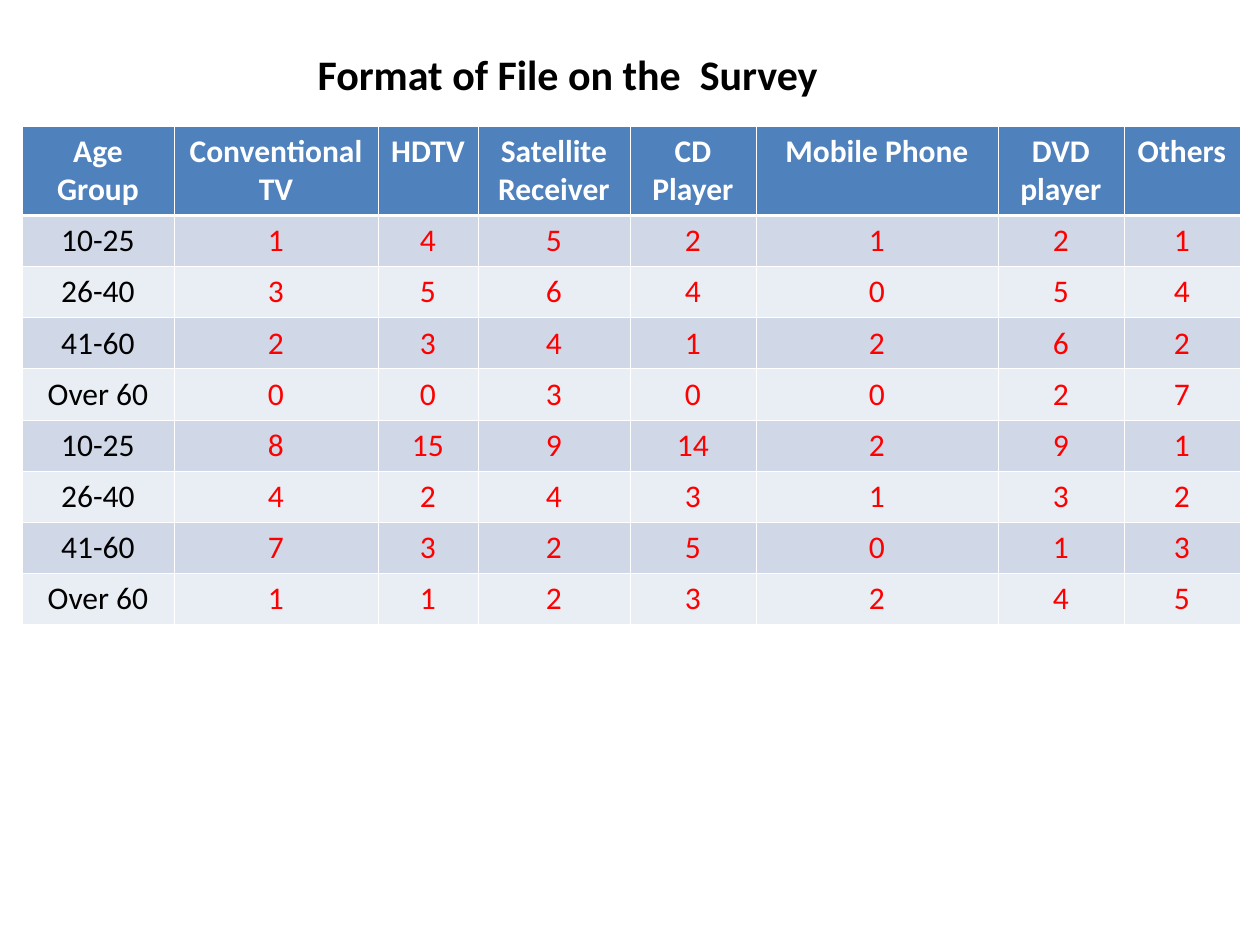
from pptx import Presentation
from pptx.dml.color import RGBColor
from pptx.enum.text import MSO_ANCHOR, MSO_AUTO_SIZE, PP_ALIGN
from pptx.oxml import parse_xml
from pptx.oxml.ns import nsdecls
from pptx.util import Pt

SCALE = 914400 / 126
FONT = "Calibri"
COLORS = {
    "header": "4F81BD",
    "odd": "D0D8E8",
    "even": "E9EDF4",
    "white": "FFFFFF",
    "black": "000000",
    "value": "FF0000",
}
COL_WIDTHS = [152, 204, 100, 152, 126, 242, 126, 116]
HEADER_HEIGHT, ROW_HEIGHT = 88, 51
HEADER = ["Age Group", "Conventional TV", "HDTV", "Satellite Receiver",
          "CD Player", "Mobile Phone", "DVD player", "Others"]
AGE_GROUPS = ["10-25", "26-40", "41-60", "Over 60"]
COUNTS = [
    [1, 4, 5, 2, 1, 2, 1],
    [3, 5, 6, 4, 0, 5, 4],
    [2, 3, 4, 1, 2, 6, 2],
    [0, 0, 3, 0, 0, 2, 7],
    [8, 15, 9, 14, 2, 9, 1],
    [4, 2, 4, 3, 1, 3, 2],
    [7, 3, 2, 5, 0, 1, 3],
    [1, 1, 2, 3, 2, 4, 5],
]


def px(n):
    return round(n * SCALE)


def rgb(name):
    return RGBColor.from_string(COLORS[name])


def format_text(tf, size, color, bold):
    p = tf.paragraphs[0]
    p.alignment = PP_ALIGN.CENTER
    for r in p.runs:
        r.font.name = FONT
        r.font.size = Pt(size)
        r.font.bold = bold
        r.font.color.rgb = rgb(color)


def add_title(s, text):
    title = s.shapes.title
    title.left, title.top, title.width, title.height = map(px, (42, 42, 1061, 63))
    tf = title.text_frame
    tf.text = text
    tf.word_wrap = True
    tf.auto_size = MSO_AUTO_SIZE.NONE
    tf.vertical_anchor = MSO_ANCHOR.TOP
    format_text(tf, 24, "black", True)


def set_borders(cell, top, bottom):
    tc_pr = cell._tc.get_or_add_tcPr()
    for side, width in (("L", 0.45), ("R", 0.45), ("T", top), ("B", bottom)):
        tc_pr.append(parse_xml(
            f'<a:ln{side} {nsdecls("a")} w="{Pt(width)}"><a:solidFill>'
            f'<a:srgbClr val="{COLORS["white"]}"/></a:solidFill></a:ln{side}>'))


def format_cell(cell, text, row, col):
    cell.text = str(text)
    set_borders(cell, 1.47 if row == 1 else 0.45, 1.47 if row == 0 else 0.45)
    cell.fill.solid()
    if row == 0:
        fill, color = "header", "white"
    else:
        fill = "odd" if row % 2 else "even"
        color = "value" if col else "black"
    cell.fill.fore_color.rgb = rgb(fill)
    format_text(cell.text_frame, 18, color, row == 0)


def add_survey_table(s):
    rows = [HEADER] + [[AGE_GROUPS[i % len(AGE_GROUPS)], *counts]
                       for i, counts in enumerate(COUNTS)]
    heights = [HEADER_HEIGHT] + [ROW_HEIGHT] * len(COUNTS)
    table = s.shapes.add_table(len(rows), len(HEADER), px(22), px(126),
                               px(sum(COL_WIDTHS)), px(sum(heights))).table
    for column, width in zip(table.columns, COL_WIDTHS):
        column.width = px(width)
    for i, (values, height) in enumerate(zip(rows, heights)):
        table.rows[i].height = px(height)
        for j, value in enumerate(values):
            format_cell(table.cell(i, j), value, i, j)


def main():
    prs = Presentation()
    prs.slide_width, prs.slide_height = px(1260), px(945)
    s = prs.slides.add_slide(prs.slide_layouts[5])
    add_survey_table(s)
    add_title(s, "Format of File on the  Survey ")
    prs.save("out.pptx")


if __name__ == "__main__":
    main()
